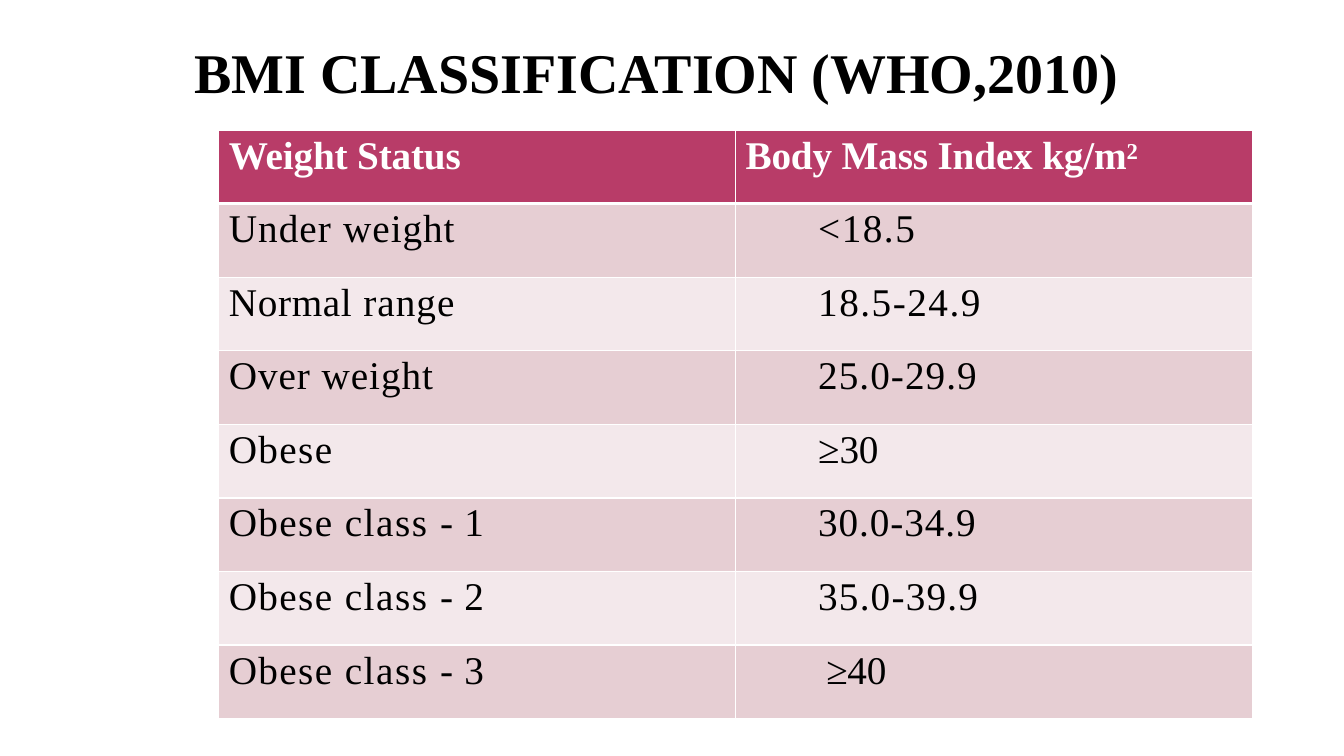
from dataclasses import dataclass

from lxml import etree
from pptx import Presentation
from pptx.dml.color import RGBColor
from pptx.enum.text import MSO_ANCHOR
from pptx.oxml.ns import qn
from pptx.util import Inches, Pt

MIDDLE = MSO_ANCHOR.MIDDLE
TOP = MSO_ANCHOR.TOP
BLANK_LAYOUT = 6
EMU_PER_POINT = 12700


@dataclass(frozen=True)
class Theme:
    """Colours, font and type sizes of the slide."""

    font: str = "Times New Roman"
    title_size: int = 40
    table_size: int = 28
    ink: str = "000000"
    paper: str = "FFFFFF"
    header: str = "B83C68"
    bands: tuple = ("E6CED3", "F3E8EB")
    rule: int = 1
    header_rule: int = 3


THEME = Theme()
LABEL_INDENT = 0.1
VALUE_INDENT = 0.82
SUPERSCRIPT = 25000

HEADER = (
    [("Weight Status", -0.1)],
    [("Body Mass Index kg/m", -0.1), ("2", -0.1, SUPERSCRIPT)],
)


def obese_class(number, spacing):
    """Return the runs of a numbered obesity class."""
    return [("Obese ", 1), ("class ", 1.1), ("- ", 0.5), (number, spacing)]


CLASSES = [
    ([("Under ", 0.8), ("weight", 0.7)], [("<18.5", 1.1)], VALUE_INDENT),
    ([("Normal ", 0.5), ("range", 0.8)], [("18.5-24.9", 1.1)], VALUE_INDENT),
    ([("Over weight", 0.7)], [("25.0-29.9", 0.8)], VALUE_INDENT),
    ([("Obese", 1)], [("≥30", -0.1)], VALUE_INDENT),
    (obese_class("1", 3.4), [("30.0-34.9", 0.7)], VALUE_INDENT),
    (obese_class("2", 1.1), [("35.0-39.9", 0.9)], VALUE_INDENT),
    (obese_class("3", 1.2), [("≥40", -0.2)], 0.9),
]


def set_all(target, values):
    """Set every attribute in a dict of format values."""
    for name, value in values.items():
        setattr(target, name, value)


def style_font(font, size, color, bold):
    """Apply the theme font with a size, colour and weight."""
    set_all(font, {"name": THEME.font, "size": Pt(size), "bold": bold})
    font.color.rgb = RGBColor.from_string(color)


def add_runs(paragraph, runs, color, bold):
    """Write runs given as text, letter spacing and optional baseline."""
    for text, spacing, *baseline in runs:
        run = paragraph.add_run()
        run.text = text
        style_font(run.font, THEME.table_size, color, bold)
        properties = run._r.get_or_add_rPr()
        properties.set("spc", str(round(spacing * 100)))
        if baseline:
            properties.set("baseline", str(baseline[0]))


def set_borders(cell, top, bottom):
    """Draw the four white rules of a cell."""
    properties = cell._tc.get_or_add_tcPr()
    widths = {"lnL": THEME.rule, "lnR": THEME.rule, "lnT": top, "lnB": bottom}
    for position, (side, width) in enumerate(widths.items()):
        line = etree.Element(qn(f"a:{side}"), w=str(width * EMU_PER_POINT))
        fill = etree.SubElement(line, qn("a:solidFill"))
        etree.SubElement(fill, qn("a:srgbClr"), val=THEME.paper)
        properties.insert(position, line)


def fill_cell(cell, runs, indent, fill, color, bold):
    """Give a cell its text, indent and background."""
    set_all(cell, {
        "margin_left": 0, "margin_right": 0, "margin_top": Inches(0.04),
        "margin_bottom": 0, "vertical_anchor": TOP,
    })
    cell.fill.solid()
    cell.fill.fore_color.rgb = RGBColor.from_string(fill)
    paragraph = cell.text_frame.paragraphs[0]
    paragraph._p.get_or_add_pPr().set("marL", str(Inches(indent)))
    add_runs(paragraph, runs, color, bold)


def add_title(slide, left, top, width, height):
    """Place the slide title in its box."""
    box = slide.shapes.add_textbox(
        Inches(left), Inches(top), Inches(width), Inches(height))
    set_all(box.text_frame, {"word_wrap": True, "vertical_anchor": MIDDLE})
    paragraph = box.text_frame.paragraphs[0]
    paragraph.line_spacing = 0.9
    run = paragraph.add_run()
    run.text = "BMI CLASSIFICATION (WHO,2010)"
    style_font(run.font, THEME.title_size, THEME.ink, True)


def add_bmi_table(slide, left, top, width, height):
    """Place the table of weight classes in its box."""
    rows = [(*HEADER, LABEL_INDENT), *CLASSES]
    table = slide.shapes.add_table(
        len(rows), len(HEADER), Inches(left), Inches(top),
        Inches(width), Inches(height)).table
    set_all(table, {"first_row": False, "horz_banding": False})
    for index, (label, value, value_indent) in enumerate(rows):
        is_header = index == 0
        fill = THEME.header if is_header else THEME.bands[(index - 1) % 2]
        color = THEME.paper if is_header else THEME.ink
        above = THEME.header_rule if index == 1 else THEME.rule
        below = THEME.header_rule if is_header else THEME.rule
        columns = ((label, LABEL_INDENT), (value, value_indent))
        for column, (runs, indent) in enumerate(columns):
            cell = table.cell(index, column)
            fill_cell(cell, runs, indent, fill, color, is_header)
            set_borders(cell, above, below)


def main():
    """Build and save the slide."""
    presentation = Presentation()
    set_all(presentation, {
        "slide_width": Inches(13.33), "slide_height": Inches(7.5)})
    slide = presentation.slides.add_slide(
        presentation.slide_layouts[BLANK_LAYOUT])
    add_bmi_table(slide, 2.17, 1.29, 10.25, 5.84)
    add_title(slide, 1.83, 0.02, 11.5, 1.45)
    presentation.save("out.pptx")


if __name__ == "__main__":
    main()
